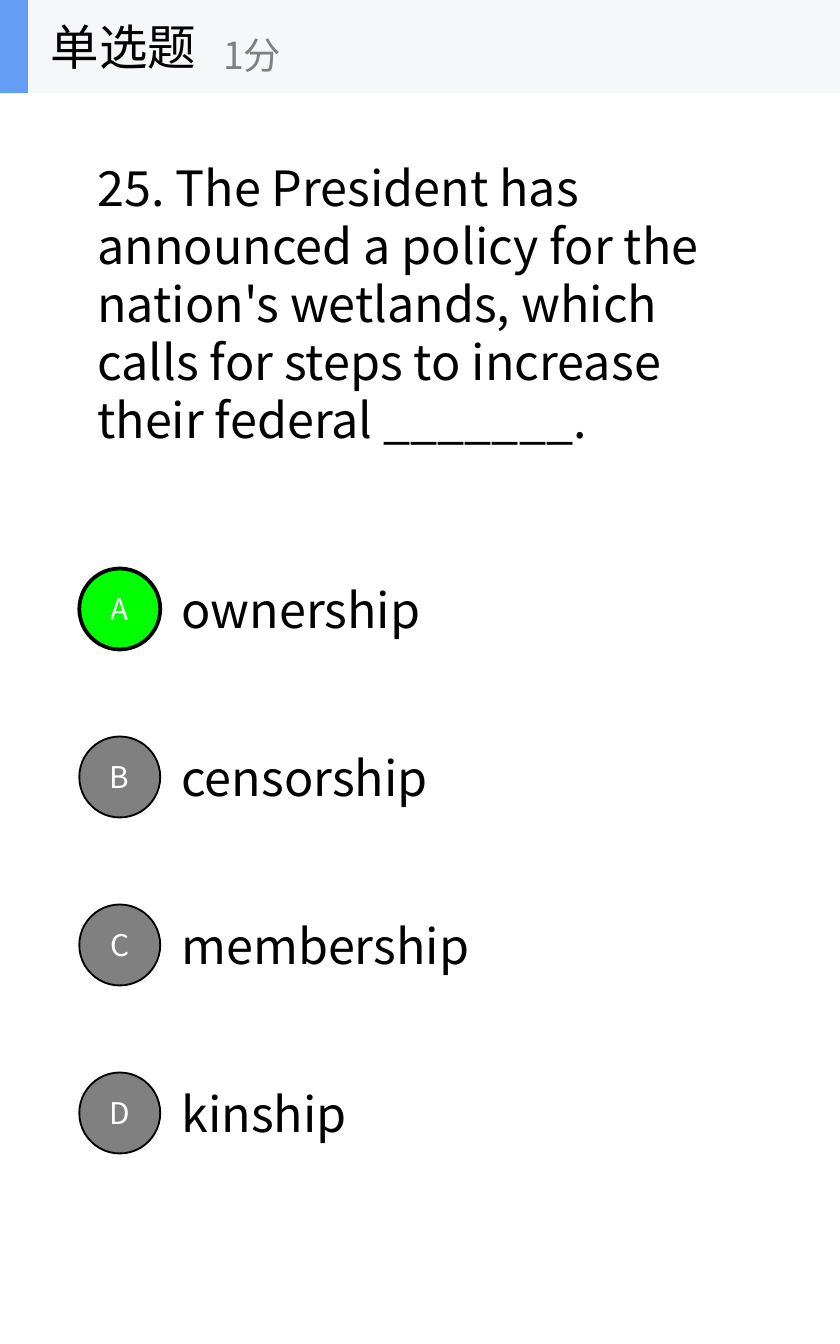
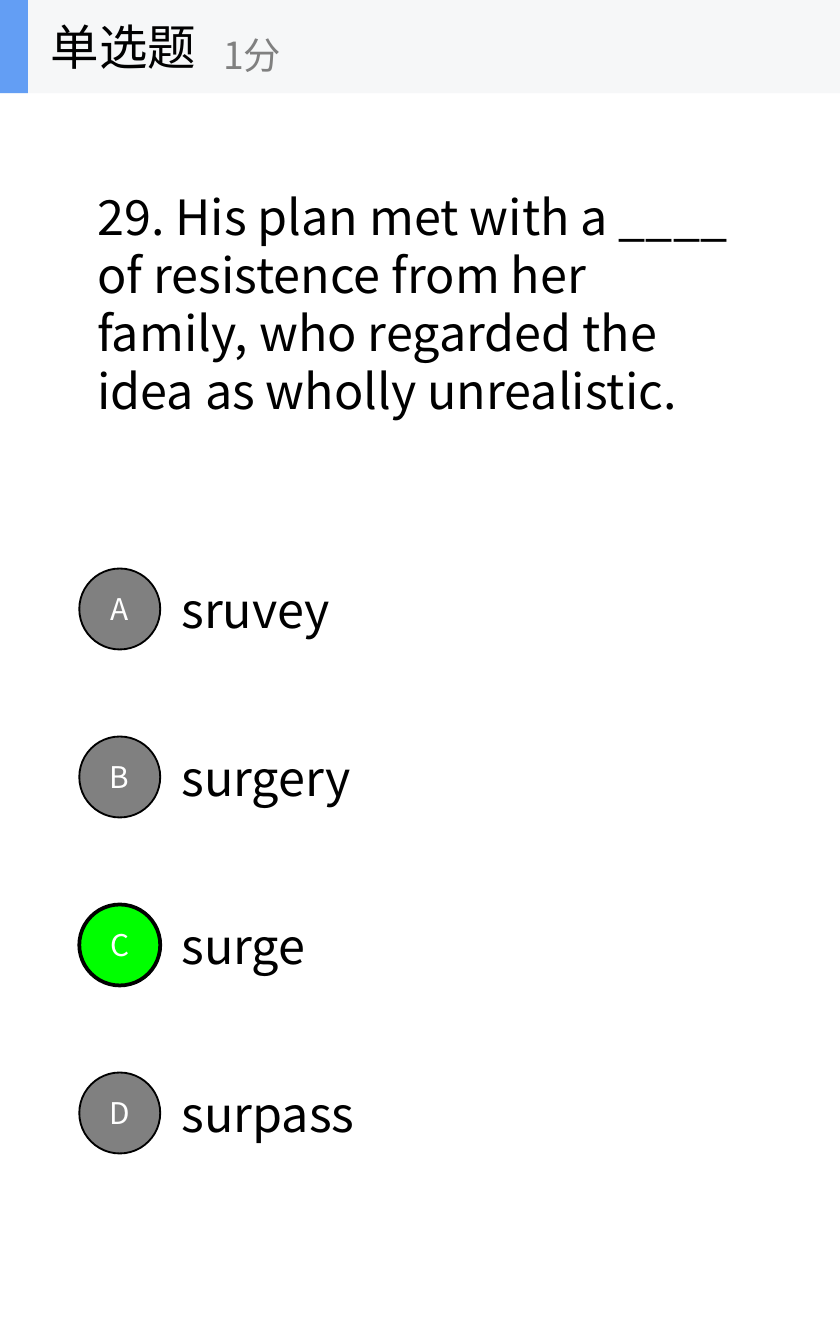
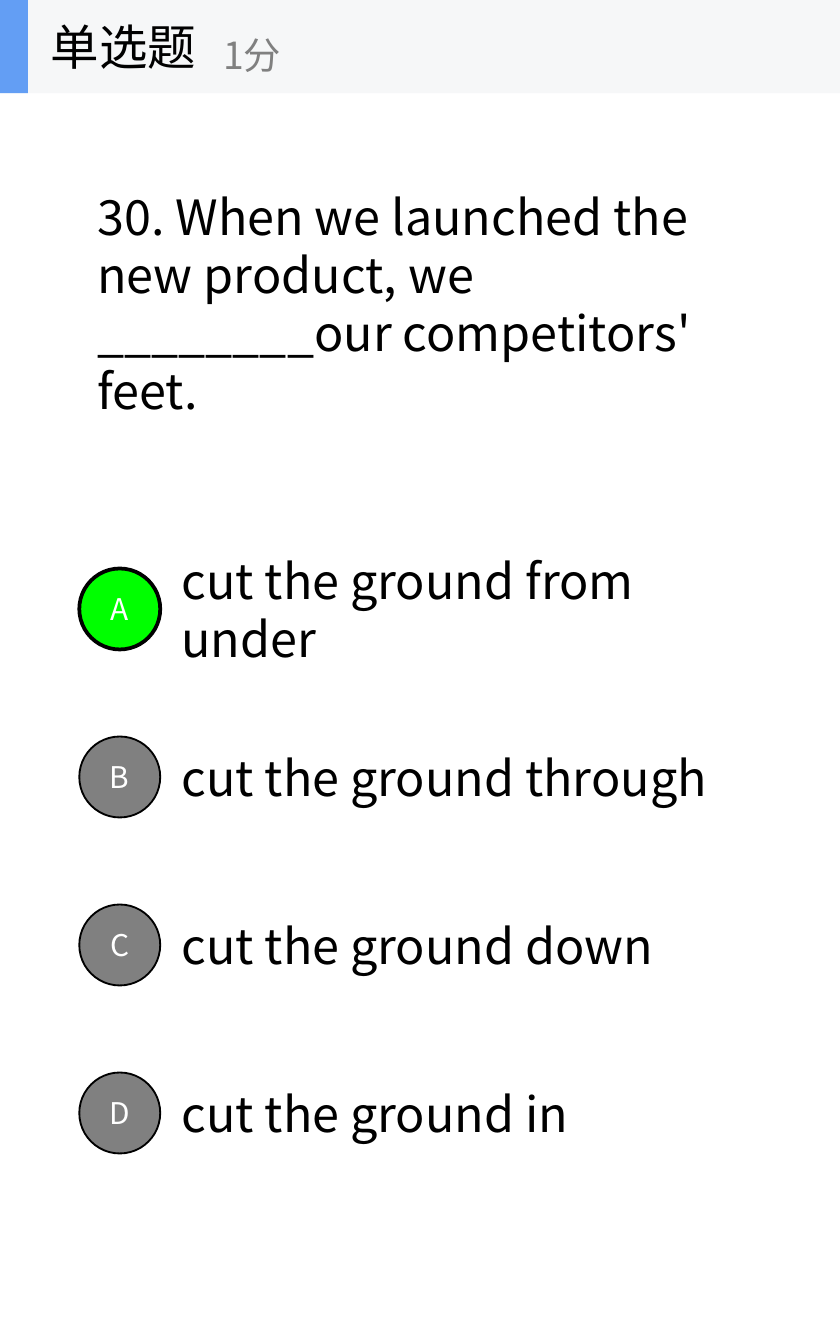
from lxml.etree import SubElement
from pptx import Presentation
from pptx.dml.color import RGBColor
from pptx.enum.shapes import MSO_SHAPE
from pptx.enum.text import MSO_ANCHOR, PP_ALIGN
from pptx.oxml.ns import qn
from pptx.util import Cm, Pt

FACE = "Noto Sans CJK SC"
BLACK = RGBColor(0x00, 0x00, 0x00)
WHITE = RGBColor(0xFF, 0xFF, 0xFF)
GRAY = RGBColor(0x80, 0x80, 0x80)
GREEN = RGBColor(0x00, 0xFF, 0x00)
BLUE = RGBColor(0x63, 0x9E, 0xF4)
PALE = RGBColor(0xF6, 0xF7, 0xF8)

WIDE, HIGH = Cm(15.88), Cm(25.4)
HEAD = (0, 0, WIDE, Cm(1.76))
STEM = (Cm(1.59), Cm(1.76), Cm(12.7), Cm(7.94))
LIST = (Cm(1.5), Cm(10.32), Cm(12.79), Cm(12.7))

BODY = {"size": Pt(26), "name": FACE}
NOTE = {"size": Pt(20), "name": FACE}
MARK = {"size": Pt(16), "name": FACE}

QUIZ = [
    ("25. The President has announced a policy for the nation's wetlands, "
     "which calls for steps to increase their federal _______.",
     ["ownership", "censorship", "membership", "kinship"], "A"),
    ("29. His plan met with a ____ of resistence from her family, "
     "who regarded the idea as wholly unrealistic.",
     ["sruvey", "surgery", "surge", "surpass"], "C"),
    ("30. When we launched the new product, we ________our competitors' feet.",
     ["cut the ground from under", "cut the ground through",
      "cut the ground down", "cut the ground in"], "A"),
]


def write(shape, text, style, color=BLACK, align=PP_ALIGN.LEFT, wrap=True):
    """Put one styled paragraph, centred in height, into a shape."""
    frame = shape.text_frame
    frame.word_wrap = wrap
    frame.vertical_anchor = MSO_ANCHOR.MIDDLE
    para = frame.paragraphs[0]
    para.alignment = align
    run = para.add_run()
    run.text = text
    run.font.color.rgb = color
    for key, value in style.items():
        setattr(run.font, key, value)
    SubElement(run._r.get_or_add_rPr(), qn("a:ea"), typeface=FACE)


def label(shapes, box, text, style, **look):
    """Add a text box."""
    write(shapes.add_textbox(*box), text, style, **look)


def solid(shapes, kind, box, color):
    """Add a filled shape without line or shadow."""
    shape = shapes.add_shape(kind, *box)
    shape.shadow.inherit = False
    shape.fill.solid()
    shape.fill.fore_color.rgb = color
    shape.line.fill.background()
    return shape


def header(slide, box):
    """Draw the band with the question type and its score."""
    left, top, width, height = box
    shapes = slide.shapes.add_group_shape().shapes
    solid(shapes, MSO_SHAPE.RECTANGLE, box, PALE)
    solid(shapes, MSO_SHAPE.RECTANGLE, (left, top, Cm(0.53), height), BLUE)
    label(shapes, (left + Cm(0.71), top, Cm(5.29), height),
          "单选题", BODY, wrap=False)
    drop = Cm(0.32)
    label(shapes, (left + Cm(3.97), top + drop, Cm(6.35), height - drop),
          "1分", NOTE, color=GRAY, wrap=False)


def badge(slide, box, letter, right):
    """Draw a round option letter, green when it is the answer."""
    shape = solid(slide.shapes, MSO_SHAPE.OVAL, box, GREEN if right else GRAY)
    shape.line.color.rgb = BLACK
    shape.line.width = Pt(2 if right else 1)
    write(shape, letter, MARK, color=WHITE, align=PP_ALIGN.CENTER)


def options(slide, box, items, answer):
    """Spread the options evenly down the box."""
    left, top, width, height = box
    pitch = height // len(items)
    row, disc, inset = Cm(2.38), Cm(1.53), Cm(1.68)
    for index, (letter, text) in enumerate(zip("ABCD", items)):
        y = top + index * pitch
        label(slide.shapes, (left + inset, y, width - inset, row), text, BODY)
        badge(slide, (left, y + (row - disc) // 2, disc, disc),
              letter, letter == answer)


def main():
    """Build one slide for each question."""
    deck = Presentation()
    deck.slide_width, deck.slide_height = WIDE, HIGH
    for stem, items, answer in QUIZ:
        slide = deck.slides.add_slide(deck.slide_layouts[6])
        label(slide.shapes, STEM, stem, BODY)
        options(slide, LIST, items, answer)
        header(slide, HEAD)
    deck.save("out.pptx")


if __name__ == "__main__":
    main()
